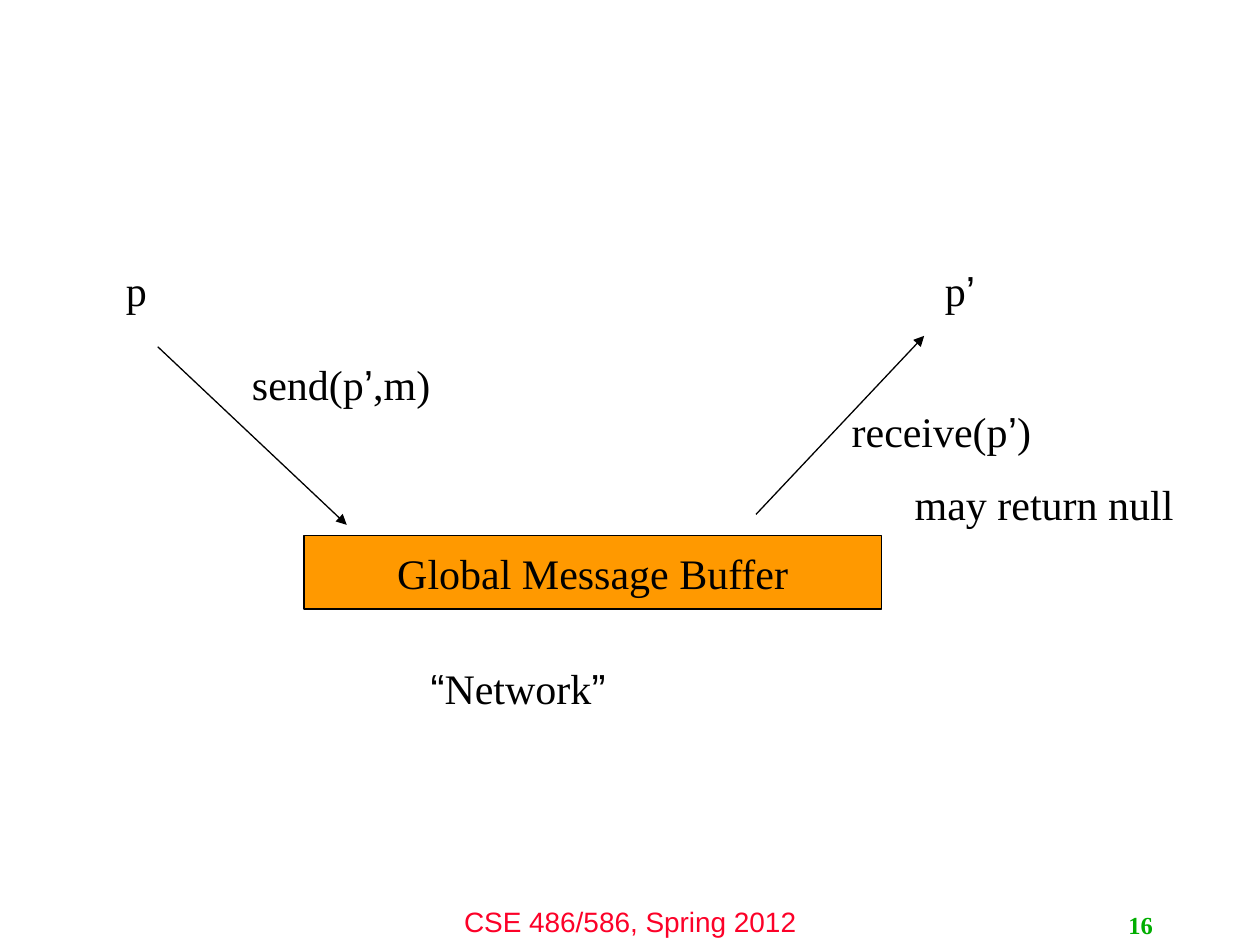
from itertools import groupby

from lxml import etree
from pptx import Presentation
from pptx.dml.color import RGBColor
from pptx.enum import shapes, text
from pptx.oxml.ns import qn
from pptx.util import Cm, Pt

SERIF, SANS = "Times New Roman", "Arial"
BLACK = "000000"


def color(hex_value):
    return RGBColor.from_string(hex_value)


def write(shape, lines, size=24, hex_value=BLACK, font=SERIF,
          align=text.PP_ALIGN.LEFT, wrap=False, bold=False):
    """Fill a shape with lines; curly quotes are set in the sans font."""
    frame = shape.text_frame
    frame.word_wrap = wrap
    for index, line in enumerate(lines):
        paragraph = frame.add_paragraph() if index else frame.paragraphs[0]
        paragraph.alignment = align
        if index:
            paragraph.space_before = Pt(13)
        for is_quote, letters in groupby(line, key=lambda letter: letter in "“”’"):
            run = paragraph.add_run()
            run.text = "".join(letters)
            run.font.name = SANS if is_quote else font
            run.font.size = Pt(size)
            run.font.bold = bold
            run.font.color.rgb = color(hex_value)


presentation = Presentation()
presentation.slide_width, presentation.slide_height = Cm(25.4), Cm(19.05)
slide = presentation.slides.add_slide(presentation.slide_layouts[6])

# Footer
footer = slide.shapes.add_textbox(Cm(8.47), Cm(18.1), Cm(8.47), Cm(0.94))
write(footer, ["CSE 486/586, Spring 2012"], 16, "FC0128", SANS,
      text.PP_ALIGN.CENTER, wrap=True)

# Message buffer
buffer = slide.shapes.add_shape(shapes.MSO_SHAPE.RECTANGLE,
                                Cm(6.13), Cm(10.8), Cm(11.64), Cm(1.48))
buffer.shadow.inherit = False
buffer.fill.solid()
buffer.fill.fore_color.rgb = color("FF9900")
buffer.line.color.rgb = color(BLACK)
buffer.line.width = Pt(0.75)
buffer.text_frame.vertical_anchor = text.MSO_ANCHOR.MIDDLE
write(buffer, ["Global Message Buffer"], align=text.PP_ALIGN.CENTER)

# Arrows into and out of the buffer
for x1, y1, x2, y2 in [(3.18, 6.99, 6.99, 10.58), (15.24, 10.37, 18.63, 6.77)]:
    arrow = slide.shapes.add_connector(shapes.MSO_CONNECTOR.STRAIGHT,
                                       Cm(x1), Cm(y1), Cm(x2), Cm(y2))
    arrow.line.color.rgb = color(BLACK)
    arrow.line.width = Pt(0.75)
    etree.SubElement(arrow.line._get_or_add_ln(), qn("a:tailEnd"), type="triangle")
    etree.SubElement(arrow._element.spPr, qn("a:effectLst"))

# Processes, operations and network label
labels = [
    (2.29, 5.21, 0.94, 1.27, ["p"]),
    (18.8, 5.21, 1.22, 1.27, ["p’"]),
    (4.83, 7.11, 4.19, 1.27, ["send(p’,m)"]),
    (16.92, 8.05, 8.26, 2.29, ["receive(p’)", "\tmay return null"]),
    (8.43, 13.23, 4.22, 1.27, ["“Network”"]),
]
for left, top, width, height, lines in labels:
    label = slide.shapes.add_textbox(Cm(left), Cm(top), Cm(width), Cm(height))
    write(label, lines)

# Slide number
number = slide.shapes.add_textbox(Cm(18.21), Cm(18.24), Cm(5.28), Cm(0.81))
number.text_frame.vertical_anchor = text.MSO_ANCHOR.MIDDLE
write(number, ["16"], 14, "00AE00", align=text.PP_ALIGN.RIGHT, wrap=True, bold=True)

presentation.save("out.pptx")
